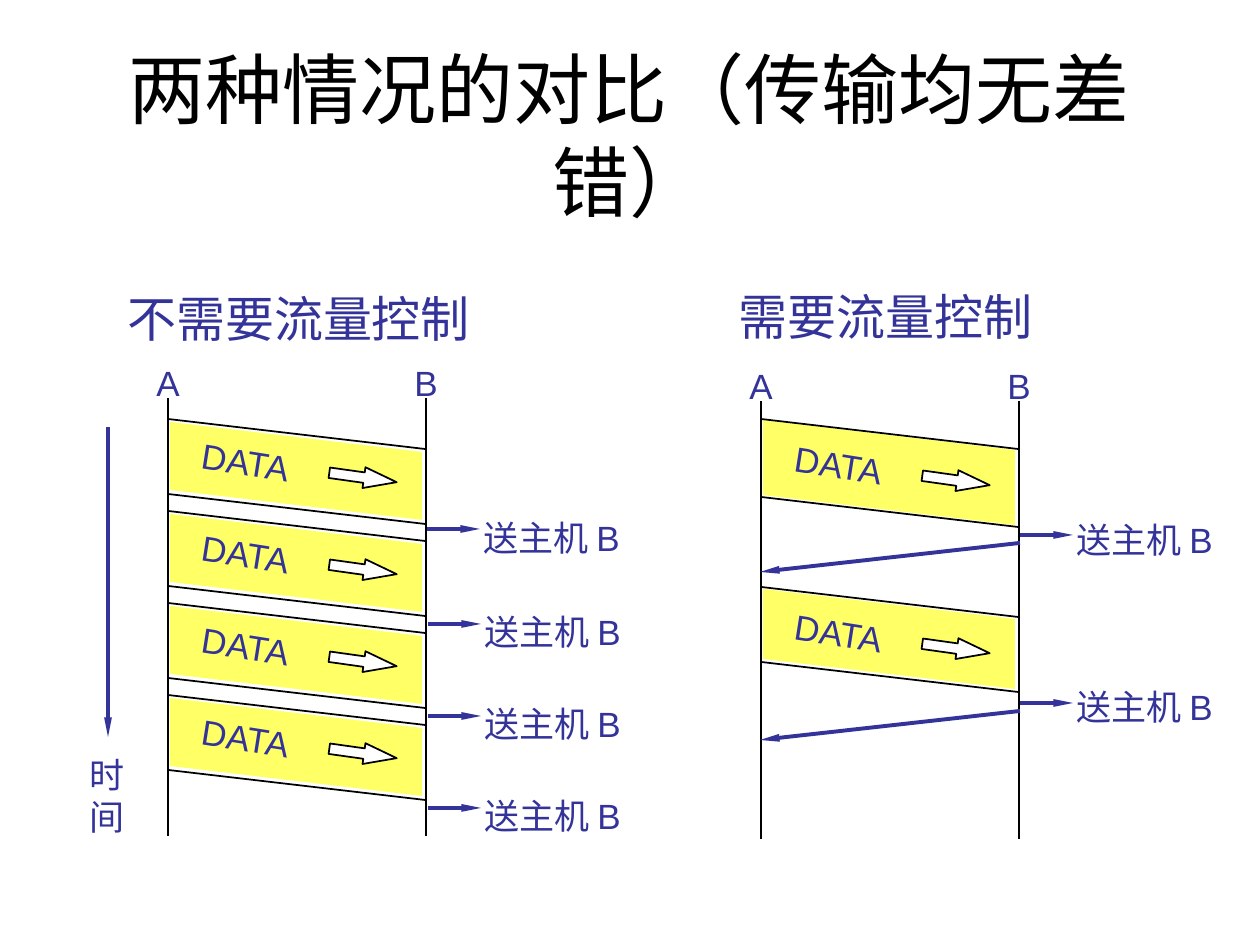
import pptx
import pptx.dml.color
import pptx.enum.shapes
import pptx.enum.text
import pptx.oxml
import pptx.oxml.ns
import pptx.util

PX = 7257
BLACK = "000000"
WHITE = "FFFFFF"
YELLOW = "FFFF66"
INDIGO = "333399"
color = pptx.dml.color.RGBColor.from_string

deck = pptx.Presentation()
deck.slide_width = 1260 * PX
deck.slide_height = 945 * PX
page = deck.slides.add_slide(deck.slide_layouts[6])


def add_label(text, left, top, width, height, size=20, font="Arial", ink=INDIGO):
    box = page.shapes.add_textbox(left * PX, top * PX, width * PX, height * PX)
    frame = box.text_frame
    frame.word_wrap = False
    for index, line in enumerate(text.split("\n")):
        para = frame.add_paragraph() if index else frame.paragraphs[0]
        span = para.add_run()
        span.text = line
        span.font.size = pptx.util.Pt(size)
        span.font.name = font
        span.font.color.rgb = color(ink)
    return box


def add_line(x1, y1, x2, y2, arrow=False):
    line = page.shapes.add_connector(
        pptx.enum.shapes.MSO_CONNECTOR.STRAIGHT, x1 * PX, y1 * PX, x2 * PX, y2 * PX
    )
    line.line.color.rgb = color(INDIGO if arrow else BLACK)
    line.line.width = pptx.util.Pt(2.25 if arrow else 1)
    properties = line._element.spPr
    if arrow:
        outline = properties.find(pptx.oxml.ns.qn("a:ln"))
        head = pptx.oxml.parse_xml(
            f'<a:tailEnd {pptx.oxml.ns.nsdecls("a")} type="triangle" w="sm" len="lg"/>'
        )
        outline.append(head)
    properties.append(pptx.oxml.parse_xml(f'<a:effectLst {pptx.oxml.ns.nsdecls("a")}/>'))


title = add_label("两种情况的对比（传输均无差错）", 73, 55, 1113, 158, size=44, ink=BLACK)
title.text_frame.word_wrap = True
title.text_frame.vertical_anchor = pptx.enum.text.MSO_ANCHOR.MIDDLE
title.text_frame.paragraphs[0].alignment = pptx.enum.text.PP_ALIGN.CENTER

add_label("不需要流量控制", 115, 282, 368, 72, size=28, font="Lato")
add_label("需要流量控制", 726, 280, 319, 72, size=28, font="Lato")

left_host, right_host = 168, 761
span_width, slope = 258, 30

bands = [(left_host, 419 + 92 * index, 75, 3, 0) for index in range(4)]
bands += [(right_host, 419, 78, 1, 3), (right_host, 587, 75, 2, 3)]
for host, top, depth, inset, shift in bands:
    near, far = host + 2, host + span_width - 4
    upper, lower = top + inset, top + depth - inset - 1
    outline = page.shapes.build_freeform(near, upper, scale=PX)
    outline.add_line_segments([(far, upper + slope), (far, lower + slope), (near, lower)])
    band = outline.convert_to_shape()
    band.shadow.inherit = False
    band.fill.solid()
    band.fill.fore_color.rgb = color(YELLOW)
    band.line.fill.background()

    for edge in (top, top + depth):
        add_line(host, edge, host + span_width - 1, edge + slope)

    arrow = page.shapes.add_shape(
        pptx.enum.shapes.MSO_SHAPE.RIGHT_ARROW,
        (host + 161) * PX, (top + 48 + shift) * PX, 68 * PX, 21 * PX,
    )
    arrow.adjustments[0] = 0.5
    arrow.adjustments[1] = 1.57
    arrow.rotation = 8
    arrow.shadow.inherit = False
    arrow.fill.solid()
    arrow.fill.fore_color.rgb = color(WHITE)
    arrow.line.color.rgb = color(BLACK)
    arrow.line.width = pptx.util.Pt(1)

    data = add_label("DATA", host + 21, top + 16 + shift, 118, 54)
    data.rotation = 9

for host, top in ((left_host, 398), (right_host, 401)):
    for name, x in (("A", host), ("B", host + span_width)):
        add_line(x, top, x, top + 438)
        add_label(name, x - 24, top - 43, 48, 54)

deliveries = [
    (427, 529, 510), (428, 624, 604), (428, 716, 696), (428, 808, 788),
    (1020, 535, 512), (1020, 703, 679),
]
for start, y, label_top in deliveries:
    add_line(start, y, start + 53, y, arrow=True)
    add_label("送主机 B", start + 44, label_top, 170, 54)

for y in (543, 711):
    add_line(1020, y, 760, y + 29, arrow=True)

add_line(108, 427, 108, 737, arrow=True)
add_label("时\n间", 77, 747, 60, 96)

deck.save("out.pptx")
